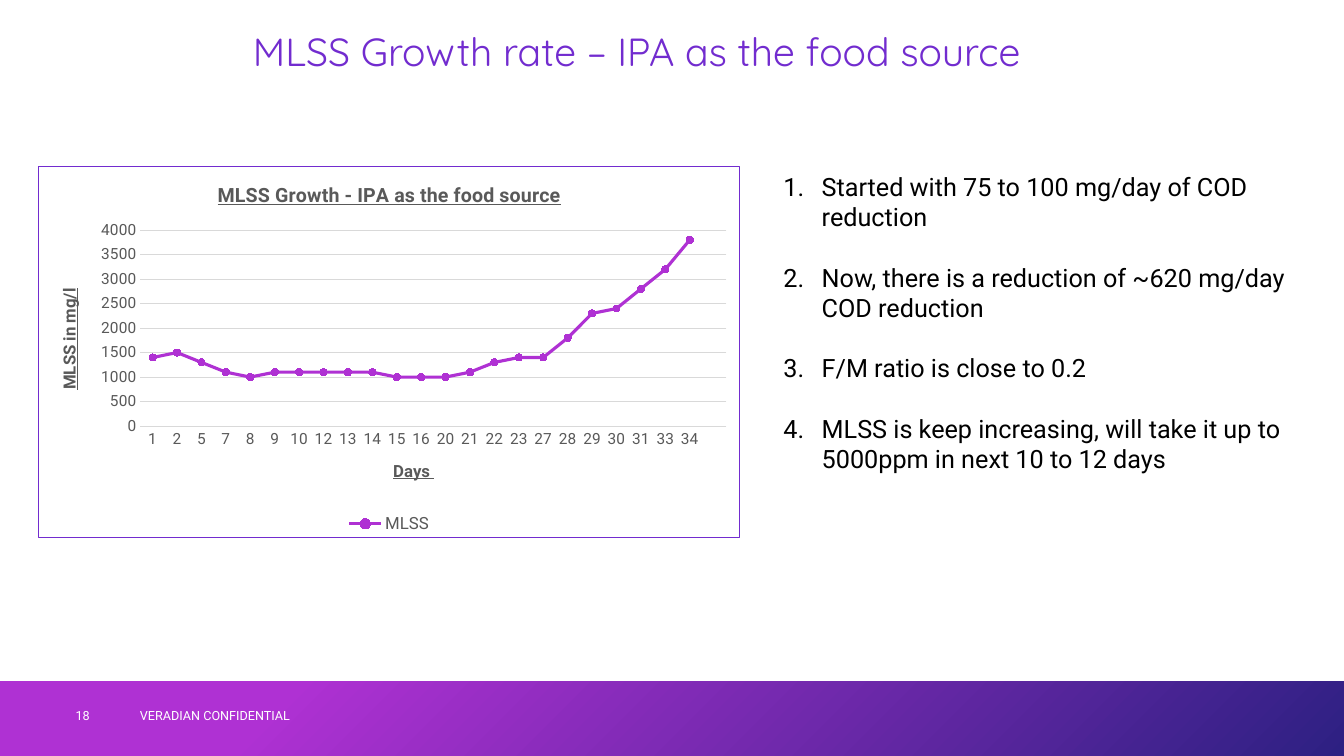
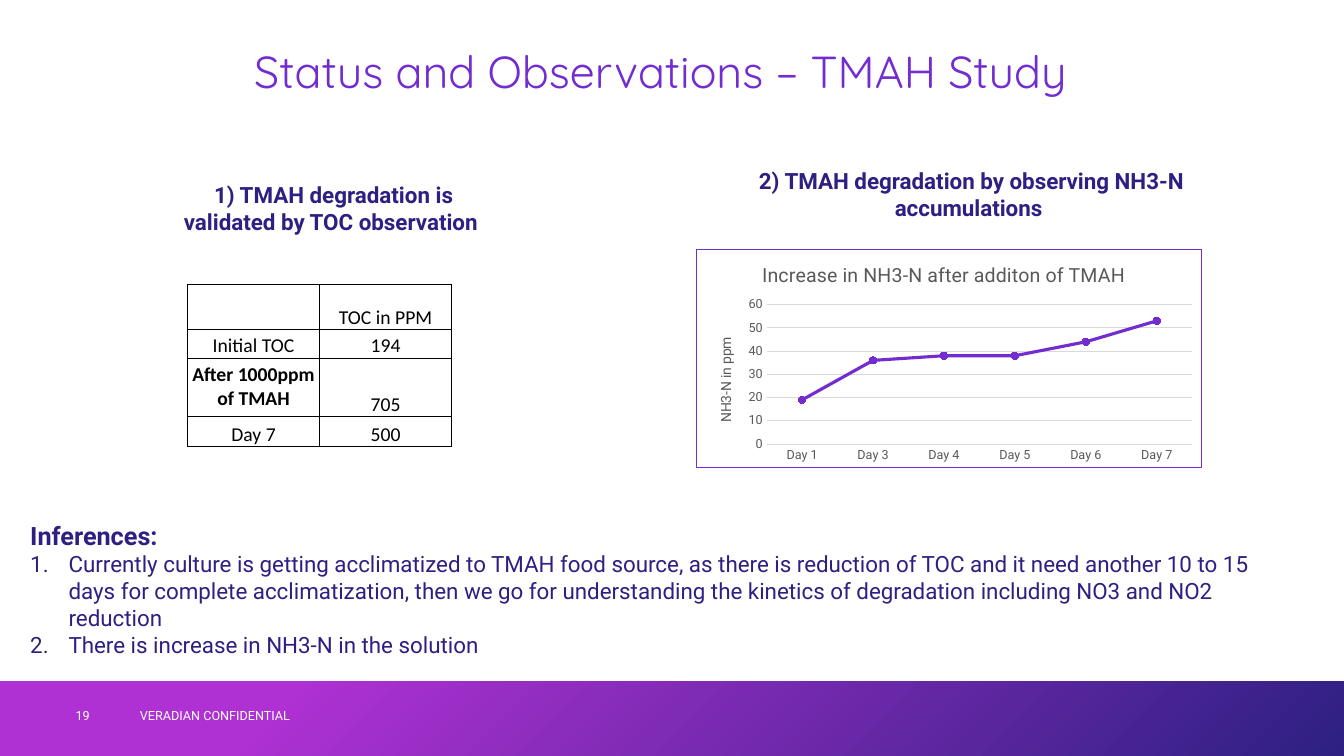
from lxml import etree
from pptx import Presentation, util as u
from pptx.chart import data as chart_data
from pptx.dml.color import RGBColor
from pptx.enum import chart as charts, shapes, text
from pptx.oxml.ns import qn

COLORS = {"violet": "722CCF", "magenta": "AF31D3", "navy": "2D2082", "white": "FFFFFF",
          "black": "000000", "label": "595959", "grid": "D9D9D9"}
FOOTER = "VERADIAN CONFIDENTIAL"
CENTER = text.PP_ALIGN.CENTER
MIDDLE = text.MSO_ANCHOR.MIDDLE
INDENT = u.Inches(0.38)


def rgb(name):
    """Return the named palette colour."""
    return RGBColor.from_string(COLORS[name])


def assign(target, **values):
    """Set several attributes on one object."""
    for name, value in values.items():
        setattr(target, name, value)


def style_font(font, size, color, name="Roboto", **flags):
    """Give a font its size, colour, face and flags."""
    assign(font, size=u.Pt(size), name=name, **flags)
    font.color.rgb = rgb(color)


def move(box, left, top, width, height):
    """Place a shape, in inches."""
    assign(box, left=u.Inches(left), top=u.Inches(top),
           width=u.Inches(width), height=u.Inches(height))


def write(para, words, size, color, **flags):
    """Add one formatted span to a paragraph."""
    span = para.add_run()
    span.text = words
    style_font(span.font, size, color, **flags)


def add_label(page, place, words, size, color, left_inset=0.1, anchor=None, align=None, **flags):
    """Add a wrapping one-paragraph text box."""
    box = page.shapes.add_textbox(*map(u.Inches, place))
    assign(box.text_frame, word_wrap=True, vertical_anchor=anchor,
           margin_left=u.Inches(left_inset))
    para = box.text_frame.paragraphs[0]
    para.alignment = align
    write(para, words, size, color, **flags)


def add_band(page, layout):
    """Draw the gradient band and hand it to the shared layout."""
    band = page.shapes.add_shape(shapes.MSO_SHAPE.RECTANGLE, 0, u.Inches(6.76),
                                 u.Inches(13.33), u.Inches(0.74))
    band.shadow.inherit = False
    band.line.fill.background()
    band.fill.gradient()
    band.fill.gradient_angle = 315
    stops = (("magenta", 0.21), ("navy", 1))
    for stop, (color, position) in zip(band.fill.gradient_stops, stops):
        stop.color.rgb = rgb(color)
        stop.position = position
    layout.shapes.element.insert(2, band.element)


def add_page(deck, number, title, left, top, size):
    """Add a page with its title, page number and footer."""
    page = deck.slides.add_slide(deck.slide_layouts[1])
    box = page.shapes.title
    move(box, left, top, 11.81, 0.67)
    assign(box.text_frame, vertical_anchor=MIDDLE, margin_left=0, word_wrap=True,
           auto_size=text.MSO_AUTO_SIZE.NONE)
    para = box.text_frame.paragraphs[0]
    assign(para, alignment=CENTER, line_spacing=0.9)
    write(para, title, size, "violet", name="Quicksand")
    add_label(page, (1.29, 6.9, 4.5, 0.4), FOOTER, 9, "white", anchor=MIDDLE)
    add_label(page, (0.75, 6.9, 0.54, 0.4), str(number), 9, "white", 0, MIDDLE)
    return page


def set_bullet(para, numbered):
    """Number a paragraph with a hanging indent, or clear its bullet."""
    props = para._p.get_or_add_pPr()
    props.set("marL", str(INDENT if numbered else 0))
    props.set("indent", str(-INDENT if numbered else 0))
    bullet = etree.SubElement(props, qn("a:buAutoNum" if numbered else "a:buNone"))
    if numbered:
        bullet.set("type", "arabicPeriod")


def fill_list(page, place, items, size, color, gap=0, heading=None):
    """Fill the body placeholder with a numbered list under an optional heading."""
    box = page.placeholders[1]
    move(box, *place)
    frame = box.text_frame
    assign(frame, word_wrap=True, auto_size=text.MSO_AUTO_SIZE.NONE,
           vertical_anchor=text.MSO_ANCHOR.TOP)
    rows = [(heading, False, 18)] if heading else []
    rows += [(item, True, size) for item in items]
    for index, (words, numbered, points) in enumerate(rows):
        para = frame.add_paragraph() if index else frame.paragraphs[0]
        set_bullet(para, numbered)
        para.space_before = u.Pt(gap if index else 0)
        write(para, words, points, color, bold=not numbered)


def set_layout(element, index, place, size, inner=False):
    """Fix a chart part at a place given in inches within the chart."""
    for old in element.findall(qn("c:layout")):
        element.remove(old)
    layout = etree.Element(qn("c:layout"))
    manual = etree.SubElement(layout, qn("c:manualLayout"))
    settings = [("layoutTarget", "inner")] if inner else []
    settings += [("xMode", "edge"), ("yMode", "edge")]
    settings += [(key, str(length / size[i % 2]))
                 for i, (key, length) in enumerate(zip("xywh", place))]
    for key, value in settings:
        etree.SubElement(manual, qn("c:" + key)).set("val", value)
    element.insert(index, layout)


def add_chart_title(holder, words, place, chart_size, size, **flags):
    """Write and place a chart or axis title."""
    write(holder.text_frame.paragraphs[0], words, size, "label", **flags)
    set_layout(holder.element, 1, place, chart_size)


def add_border(chart, color):
    """Outline the chart area."""
    props = etree.Element(qn("c:spPr"))
    etree.SubElement(props, qn("a:noFill"))
    line = etree.SubElement(props, qn("a:ln"), w=str(u.Pt(0.75)))
    fill = etree.SubElement(line, qn("a:solidFill"))
    etree.SubElement(fill, qn("a:srgbClr"), val=COLORS[color])
    chart.element.find(qn("c:chart")).addnext(props)


def style_axis(axis, size):
    """Apply the common look of both axes."""
    assign(axis, major_tick_mark=charts.XL_TICK_MARK.NONE,
           minor_tick_mark=charts.XL_TICK_MARK.NONE)
    style_font(axis.tick_labels.font, size, "label")


def add_line_chart(page, place, name, points, color, plot_place, top, step, tick_size):
    """Add a bordered line chart with round markers."""
    data = chart_data.CategoryChartData()
    data.categories = [label for label, _ in points]
    data.add_series(name, [value for _, value in points])
    chart = page.shapes.add_chart(charts.XL_CHART_TYPE.LINE_MARKERS,
                                  *map(u.Inches, place), data).chart
    style_font(chart.font, 10, "black")
    chart.has_legend = False
    add_border(chart, "violet")
    set_layout(chart.element.find(".//" + qn("c:plotArea")), 0, plot_place, place[2:], True)
    days, values = chart.category_axis, chart.value_axis
    style_axis(days, tick_size)
    style_axis(values, tick_size)
    assign(values, minimum_scale=0, maximum_scale=top, major_unit=step, has_major_gridlines=True)
    values.format.line.fill.background()
    for line in (days.format.line, values.major_gridlines.format.line):
        line.color.rgb = rgb("grid")
        line.width = u.Pt(0.75)
    chart.plots[0].vary_by_categories = False
    series = chart.plots[0].series[0]
    series.smooth = False
    series.format.line.color.rgb = rgb(color)
    series.format.line.width = u.Pt(2.25)
    assign(series.marker, style=charts.XL_MARKER_STYLE.CIRCLE, size=5)
    series.marker.format.fill.solid()
    series.marker.format.fill.fore_color.rgb = rgb(color)
    series.marker.format.line.color.rgb = rgb(color)
    return chart


def turn_upright(axis_title):
    """Rotate an axis title to read upwards."""
    body = axis_title.element.find(".//" + qn("a:bodyPr"))
    body.set("rot", "-5400000")
    body.set("vert", "horz")


def add_cell_borders(cell):
    """Outline a table cell with thin black lines."""
    props = cell._tc.get_or_add_tcPr()
    for index, side in enumerate(("lnL", "lnR", "lnT", "lnB")):
        line = etree.Element(qn("a:" + side), w=str(u.Pt(0.5)))
        fill = etree.SubElement(line, qn("a:solidFill"))
        etree.SubElement(fill, qn("a:srgbClr"), val=COLORS["black"])
        props.insert(index, line)


def add_grid(page, place, heights, rows, bold_words):
    """Add a plain bordered table."""
    table = page.shapes.add_table(len(rows), len(rows[0]), *map(u.Inches, place)).table
    assign(table, first_row=False, horz_banding=False)
    for row, height, values in zip(table.rows, heights, rows):
        row.height = u.Inches(height)
        for cell, words in zip(row.cells, values):
            bold = words == bold_words
            assign(cell, margin_left=0, margin_right=0, margin_top=0, margin_bottom=0,
                   vertical_anchor=MIDDLE if bold else text.MSO_ANCHOR.BOTTOM)
            cell.fill.background()
            add_cell_borders(cell)
            para = cell.text_frame.paragraphs[0]
            para.alignment = CENTER
            if words:
                write(para, words, 14, "black", name="Calibri", bold=bold)


def build_growth(deck):
    """Build the sludge growth page."""
    page = add_page(deck, 18, "MLSS Growth rate – IPA as the food source", 0.46, 0.2, 28)
    add_band(page, deck.slide_layouts[1])
    days = [1, 2, 5, *range(7, 11), *range(12, 17), *range(20, 24), *range(27, 32), 33, 34, ""]
    mlss = [1400, 1500, 1300, 1100, 1000, 1100, 1100, 1100, 1100, 1100, 1000, 1000,
            1000, 1100, 1300, 1400, 1400, 1800, 2300, 2400, 2800, 3200, 3800, None]
    size = (6.96, 3.69)
    chart = add_line_chart(page, (0.38, 1.65, *size), "MLSS", list(zip(map(str, days), mlss)),
                           "magenta", (1.01, 0.63, 5.82, 1.95), 4000, 500, 11)
    strong = {"bold": True, "underline": True}
    add_chart_title(chart.chart_title, "MLSS Growth - IPA as the food source",
                    (1.74, 0.11), size, 14, **strong)
    add_chart_title(chart.category_axis.axis_title, "Days ", (3.49, 2.88), size, 12, **strong)
    upright = chart.value_axis.axis_title
    add_chart_title(upright, "MLSS in mg/l", (0.16, 1.18), size, 12, **strong)
    turn_upright(upright)
    chart.has_legend = True
    assign(chart.legend, position=charts.XL_LEGEND_POSITION.BOTTOM, include_in_layout=False)
    style_font(chart.legend.font, 12, "label")
    fill_list(page, (7.67, 1.65, 5.4, 3.13), [
        "Started with 75 to 100 mg/day of COD reduction",
        "Now, there is a reduction of ~620 mg/day COD reduction",
        "F/M ratio is close to 0.2",
        "MLSS is keep increasing, will take it up to 5000ppm in next 10 to 12 days",
    ], 18, "black", gap=21.5)


def build_status(deck):
    """Build the TMAH study page."""
    page = add_page(deck, 19, "Status and Observations – TMAH Study", 0.7, 0.4, 32)
    headings = (((1.63, 1.75, 3.36, 0.64), "1) TMAH degradation is validated by TOC observation "),
                ((7.16, 1.61, 4.95, 0.64),
                 "2) TMAH degradation by observing NH3-N accumulations "))
    for place, words in headings:
        add_label(page, place, words, 16, "navy", align=CENTER, bold=True)
    add_grid(page, (1.86, 2.82, 2.62, 1.61), (0.45, 0.28, 0.58, 0.3), [
        ("", "TOC in PPM"), ("Initial TOC", "194"),
        ("After 1000ppm of TMAH", "705"), ("Day 7", "500"),
    ], "After 1000ppm of TMAH")
    size = (5.02, 2.17)
    points = [(f"Day {day}", value)
              for day, value in zip((1, 3, 4, 5, 6, 7), (19, 36, 38, 38, 44, 53))]
    chart = add_line_chart(page, (6.9, 2.47, *size), "Series 1", points, "violet",
                           (0.7, 0.55, 4.23, 1.39), 60, 10, 9)
    add_chart_title(chart.chart_title, "Increase in NH3-N after additon of TMAH",
                    (0.62, 0.08), size, 14, bold=False)
    upright = chart.value_axis.axis_title
    add_chart_title(upright, "NH3-N in ppm", (0.18, 0.85), size, 10, bold=False)
    turn_upright(upright)
    fill_list(page, (0.2, 5.11, 12.55, 1.5), [
        "Currently culture is getting acclimatized to TMAH food source, as there is reduction of "
        "TOC and it need another 10 to 15 days for complete acclimatization, then we go for "
        "understanding the kinetics of degradation including NO3 and NO2 reduction",
        "There is increase in NH3-N in the solution",
    ], 16, "navy", heading="Inferences:")


def main():
    """Build and save the deck."""
    deck = Presentation()
    assign(deck, slide_width=u.Inches(13.33), slide_height=u.Inches(7.5))
    build_growth(deck)
    build_status(deck)
    deck.save("out.pptx")


if __name__ == "__main__":
    main()
